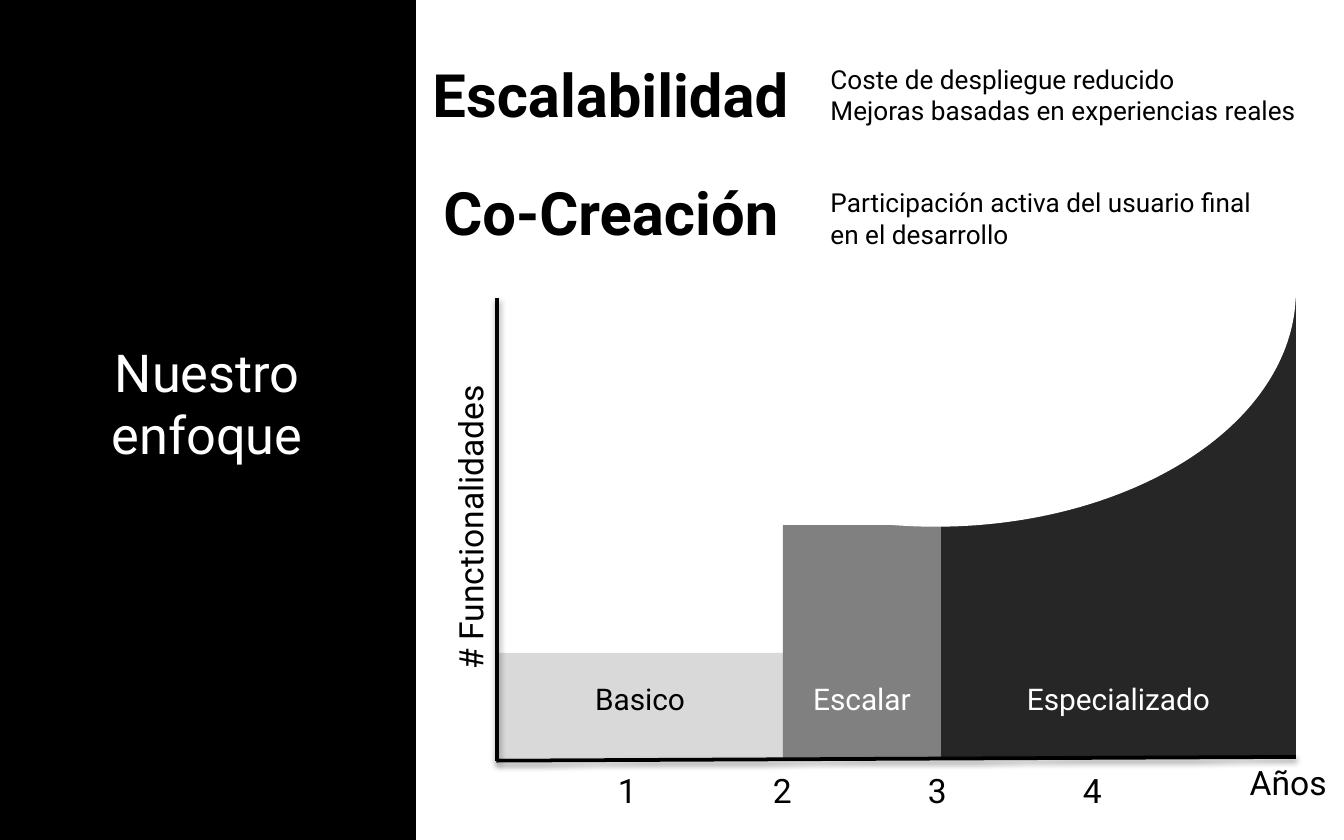
from dataclasses import dataclass

import pptx
import pptx.dml.color
import pptx.enum.shapes
import pptx.enum.text
import pptx.oxml
import pptx.oxml.ns
import pptx.util

Pt = pptx.util.Pt
ALIGN = pptx.enum.text.PP_ALIGN
ANCHOR = pptx.enum.text.MSO_ANCHOR
SHAPE = pptx.enum.shapes.MSO_SHAPE


@dataclass(frozen=True)
class Theme:
    font: str = "Roboto"
    black: str = "000000"
    white: str = "FFFFFF"
    basic: str = "D9D9D9"
    scale: str = "808080"
    special: str = "262626"
    title: int = 28
    heading: int = 32
    detail: int = 14
    stage: int = 16
    axis: int = 18
    line: int = 2


@dataclass(frozen=True)
class Box:
    left: float
    top: float
    width: float
    height: float

    @property
    def right(self):
        return self.left + self.width

    @property
    def bottom(self):
        return self.top + self.height

    def lengths(self):
        return Pt(self.left), Pt(self.top), Pt(self.width), Pt(self.height)


THEME = Theme()


def rgb(value):
    return pptx.dml.color.RGBColor.from_string(value)


def write(shape, text, size, color, align=ALIGN.LEFT, bold=False, wrap=True):
    frame = shape.text_frame
    frame.text = text
    frame.word_wrap = wrap
    frame.auto_size = pptx.enum.text.MSO_AUTO_SIZE.NONE
    for paragraph in frame.paragraphs:
        paragraph.alignment = align
        for run in paragraph.runs:
            run.font.name = THEME.font
            run.font.size = Pt(size)
            run.font.bold = bold
            run.font.color.rgb = rgb(color)


def add_text(slide, box, text, size, **options):
    shape = slide.shapes.add_textbox(*box.lengths())
    write(shape, text, size, THEME.black, **options)
    return shape


def add_filled(slide, kind, box, color):
    shape = slide.shapes.add_shape(kind, *box.lengths())
    shape.shadow.inherit = False
    shape.fill.solid()
    shape.fill.fore_color.rgb = rgb(color)
    shape.line.fill.background()
    return shape


def add_axis(slide, start, end):
    """Draw a black axis line with a soft shadow below it."""
    axis = slide.shapes.add_connector(
        pptx.enum.shapes.MSO_CONNECTOR.STRAIGHT, *map(Pt, start + end))
    axis.line.color.rgb = rgb(THEME.black)
    axis.line.width = Pt(THEME.line)
    axis._element.spPr.append(pptx.oxml.parse_xml(
        f'<a:effectLst {pptx.oxml.ns.nsdecls("a")}>'
        '<a:outerShdw blurRad="40000" dist="20000" dir="5400000" rotWithShape="0">'
        '<a:srgbClr val="000000"><a:alpha val="38000"/></a:srgbClr>'
        '</a:outerShdw></a:effectLst>'))


def add_sidebar(slide, box):
    panel = add_filled(slide, SHAPE.RECTANGLE, box, THEME.black)
    panel.line.color.rgb = rgb(THEME.black)
    panel.line.width = Pt(THEME.line)
    title = slide.shapes.title
    slide.shapes._spTree.append(title._element)  # bring the title above the panel
    title.left, title.top, title.width, title.height = Box(
        box.left + 8, box.top + 178.5, box.width - 16, 75).lengths()
    write(title, "Nuestro enfoque", THEME.title, THEME.white, ALIGN.CENTER)
    title.text_frame.vertical_anchor = ANCHOR.TOP


def add_growth_diagram(slide, box):
    stages = [
        ("Basico", 153, 56.2, THEME.basic, THEME.black),
        ("Escalar", 84.8, 124.6, THEME.scale, THEME.white),
        ("Especializado", 190, box.height, THEME.special, THEME.white),
    ]
    left = box.left
    for name, width, height, fill, color in stages:
        bar = add_filled(slide, SHAPE.RECTANGLE,
                         Box(left, box.bottom - height, width, height), fill)
        write(bar, name, THEME.stage, color, ALIGN.CENTER)
        bar.text_frame.vertical_anchor = ANCHOR.BOTTOM
        bar.text_frame.margin_bottom = Pt(22.4)
        left += width

    add_axis(slide, (box.left, box.top), (box.left, box.bottom + 1.5))
    add_axis(slide, (box.right, box.bottom - 0.5), (box.left - 0.5, box.bottom + 1.5))

    label = add_text(slide, Box(box.left - 98, box.top + 108, 167, 29),
                     "# Functionalidades", THEME.axis, wrap=False)
    label.rotation = 270
    add_text(slide, Box(box.right - 31.8, box.bottom - 1.5, 56, 29),
             "Años", THEME.axis, wrap=False)
    for year in range(1, 5):
        add_text(slide, Box(box.left - 25.4 + 83 * year, box.bottom + 3, 24.5, 29),
                 str(year), THEME.axis, wrap=False)

    # A white ellipse carves the growth curve out of the last stage.
    add_filled(slide, SHAPE.OVAL,
               Box(box.right - 386, box.top - 129.6, 386, 252), THEME.white)


def add_idea(slide, heading_box, detail_box, heading, detail, align):
    add_text(slide, heading_box, heading, THEME.heading, bold=True)
    add_text(slide, detail_box, detail, THEME.detail, align=align)


def main():
    presentation = pptx.Presentation()
    presentation.slide_width = Pt(720)
    presentation.slide_height = Pt(450)
    slide = presentation.slides.add_slide(
        presentation.slide_layouts.get_by_name("Title Only"))

    add_sidebar(slide, Box(0, 0, 222, 450))
    add_growth_diagram(slide, Box(266.4, 159.8, 427.8, 246.2))
    add_idea(slide, Box(224.6, 27.4, 226, 46), Box(437.8, 30.2, 280, 41),
             "Escalabilidad",
             "Coste de despliegue reducido\nMejoras basadas en experiencias reales",
             ALIGN.JUSTIFY)
    add_idea(slide, Box(230.4, 90.7, 221, 46), Box(437.8, 96.5, 256.3, 41),
             "Co-Creación",
             "Participación activa del usuario final en el desarrollo",
             ALIGN.LEFT)
    presentation.save("out.pptx")


if __name__ == "__main__":
    main()
